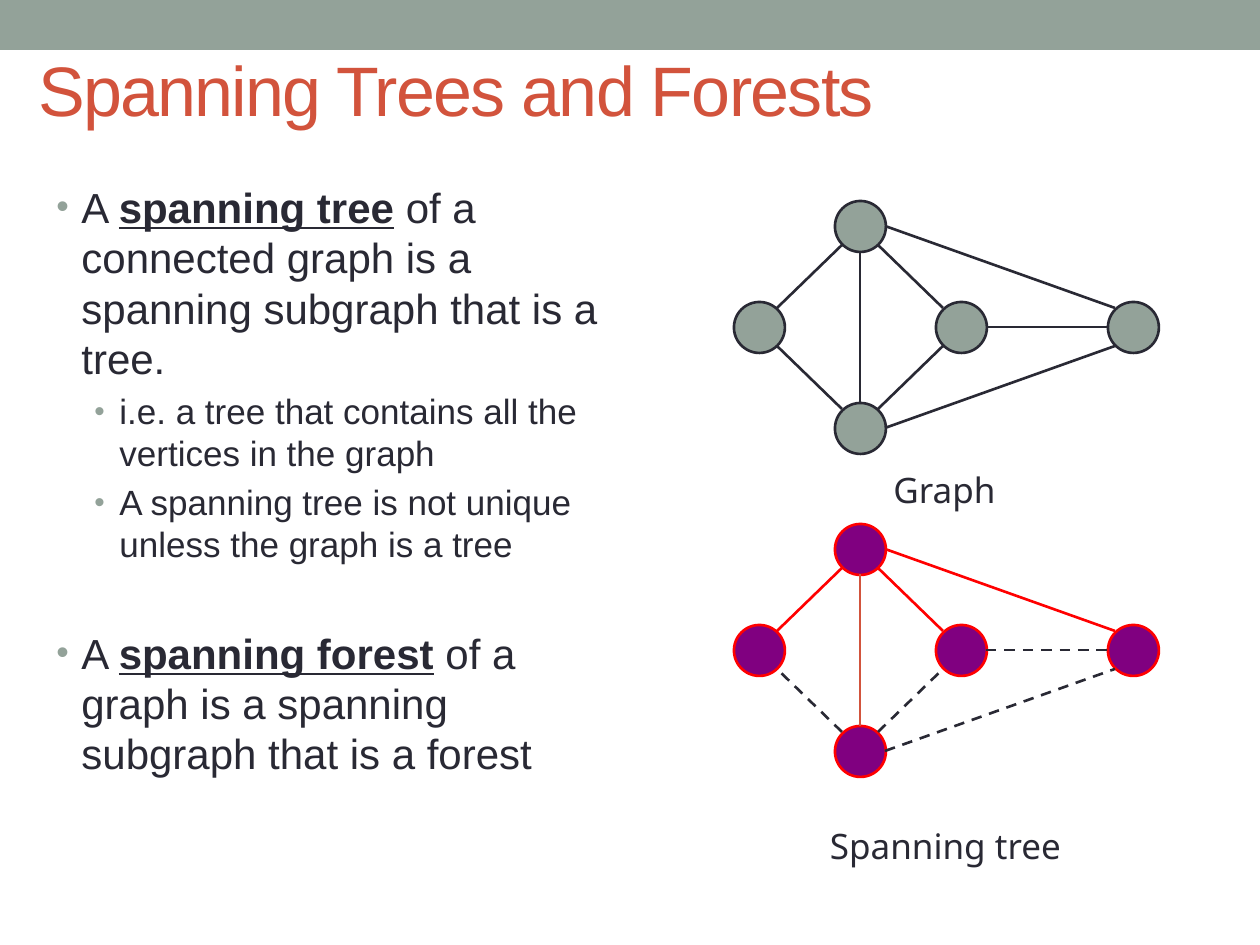
from pptx import Presentation
from pptx.dml.color import RGBColor
from pptx.enum.dml import MSO_LINE
from pptx.enum.shapes import MSO_CONNECTOR, MSO_SHAPE
from pptx.enum.text import MSO_ANCHOR, PP_ALIGN
from pptx.oxml.ns import qn
from pptx.util import Pt
from lxml import etree

DASH = MSO_LINE.DASH
LINE = MSO_CONNECTOR.STRAIGHT
RECT, OVAL = MSO_SHAPE.RECTANGLE, MSO_SHAPE.OVAL
MIDDLE, CENTER = MSO_ANCHOR.MIDDLE, PP_ALIGN.CENTER

SCALE = 914400 // 126
THEME = {
    "sage": RGBColor(0x93, 0xA2, 0x99), "ink": RGBColor(0x29, 0x29, 0x34),
    "rust": RGBColor(0xD2, 0x53, 0x3C), "red": RGBColor(255, 0, 0),
    "purple": RGBColor(0x80, 0, 0x80),
    "font": "Arial", "label": "Noto Sans",
    "title": 40, "body": 24, "sub": 20, "line": 1.5,
}

deck = Presentation()
deck.slide_width, deck.slide_height = 1260 * SCALE, 945 * SCALE
slide = deck.slides.add_slide(deck.slide_layouts[6])
shapes = slide.shapes


def add_text(left, top, width, height, text=""):
    box = shapes.add_textbox(*[v * SCALE for v in (left, top, width, height)])
    box.text_frame.word_wrap = True
    box.text_frame.text = text
    return box.text_frame


def style(run, size, color="ink", font="font"):
    run.font.name = THEME[font]
    run.font.size = Pt(THEME[size])
    run.font.color.rgb = THEME[color]


# Top bar and title
bar = shapes.add_shape(RECT, 0, 0, 1260 * SCALE, 50 * SCALE)
bar.shadow.inherit = False
bar.fill.solid()
bar.fill.fore_color.rgb = THEME["sage"]
bar.line.fill.background()

title = add_text(26, 26, 1105, 126, "Spanning Trees and Forests")
title.vertical_anchor = MIDDLE
run = title.paragraphs[0].runs[0]
style(run, "title", "rust")
run._r.get_or_add_rPr().set("spc", "-100")

# Bulleted text: level, space before in points, runs (odd ones are key terms)
points = [
    (0, 0, ["A ", "spanning tree",
            " of a connected graph is a spanning subgraph that is a tree."]),
    (1, 4, ["i.e. a tree that contains all the vertices in the graph"]),
    (1, 4, ["A spanning tree is not unique unless the graph is a tree"]),
    (0, 35.6, ["A ", "spanning forest",
               " of a graph is a spanning subgraph that is a forest"]),
]
body = add_text(44, 175, 575, 725)
for i, (level, gap, parts) in enumerate(points):
    para = body.add_paragraph() if i else body.paragraphs[0]
    size = ("body", "sub")[level]
    para.level = level
    para.space_before = Pt(gap)
    para.line_spacing = Pt(THEME[size] * 1.2)
    for j, part in enumerate(parts):
        run = para.add_run()
        run.text = part
        style(run, size)
        run.font.bold = run.font.underline = j == 1
    props = para._p.get_or_add_pPr()
    props.set("marL", str((25, 63)[level] * SCALE))
    props.set("indent", str(-25 * SCALE))
    tint = etree.SubElement(props, qn("a:buClr"))
    etree.SubElement(tint, qn("a:srgbClr"), val=str(THEME["sage"]))
    etree.SubElement(props, qn("a:buSzPct"), val="85000")
    etree.SubElement(props, qn("a:buFont"), typeface=THEME["font"])
    etree.SubElement(props, qn("a:buChar"), char="•")

# Graph model: node centres, and edges with their offsets at each end
SIZE, DX, DY, RAD = 51, 18, 19, 25
nodes = {"top": (860, 226), "left": (759, 327), "mid": (961, 327),
         "right": (1133, 327), "base": (860, 428)}
edges = [  # from, offset, to, offset, colour in the tree (None: unused)
    ("top", (-DX, DY), "left", (DX, -DY), "red"),
    ("top", (DX, DY), "mid", (-DX, -DY), "red"),
    ("top", (RAD, 0), "right", (-DX, -DY), "red"),
    ("top", (0, RAD), "base", (0, -RAD), "rust"),
    ("base", (-DX, -DY), "left", (DX, DY), None),
    ("base", (DX, -DY), "mid", (-DX, DY), None),
    ("base", (RAD, 0), "right", (-DX, DY), None),
    ("mid", (RAD, 0), "right", (-RAD, 0), None),
]

# Full graph above, spanning tree below
for drop, fill, rim, tree in [(0, "sage", "ink", False),
                              (323, "purple", "red", True)]:
    for x, y in nodes.values():
        node = shapes.add_shape(OVAL, (x - RAD) * SCALE,
                                (y + drop - RAD) * SCALE,
                                SIZE * SCALE, SIZE * SCALE)
        node.shadow.inherit = False
        node.fill.solid()
        node.fill.fore_color.rgb = THEME[fill]
        node.line.color.rgb = THEME[rim]
        node.line.width = Pt(THEME["line"])
    for start, off, end, back, color in edges:
        (ax, ay), (bx, by) = nodes[start], nodes[end]
        edge = shapes.add_connector(
            LINE, (ax + off[0]) * SCALE, (ay + off[1] + drop) * SCALE,
            (bx + back[0]) * SCALE, (by + back[1] + drop) * SCALE)
        edge.line.width = Pt(THEME["line"])
        edge.line.color.rgb = THEME[color if tree and color else "ink"]
        if tree and not color:
            edge.line.dash_style = DASH
        etree.SubElement(edge._element.spPr, qn("a:effectLst"))

# Captions
for text, left, top, width in [("Graph", 748, 462, 393),
                               ("Spanning tree", 694, 818, 503)]:
    para = add_text(left, top, width, 54, text).paragraphs[0]
    para.alignment = CENTER
    style(para.runs[0], "sub", font="label")

deck.save("out.pptx")
